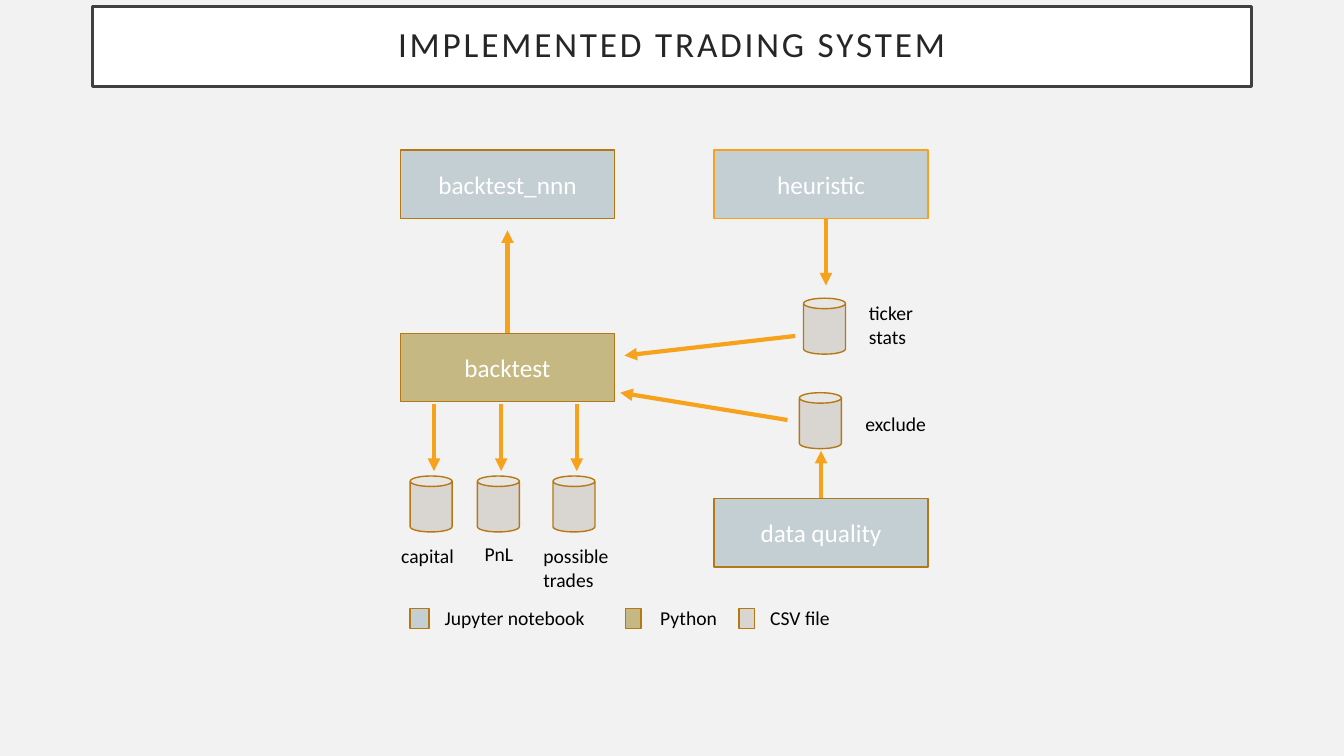
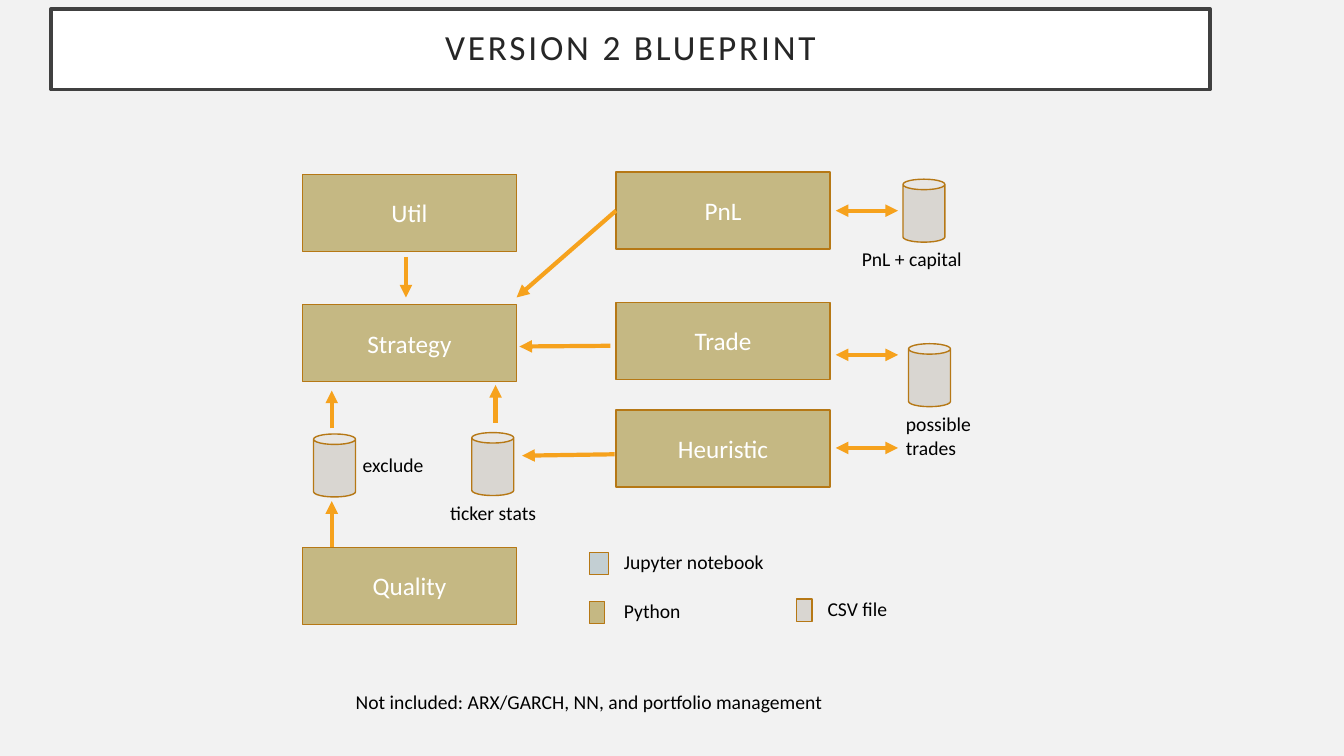
"""Build two slides that chart a trading system and its planned second version."""
from dataclasses import dataclass
from typing import Any

from lxml import etree
from pptx import Presentation
from pptx.dml.color import RGBColor
from pptx.enum import shapes, text
from pptx.oxml.ns import qn
from pptx.util import Pt

FONT = "Calibri"
PAPER, WHITE, BLACK = "F2F2F2", "FFFFFF", "000000"
FRAME, TITLE_TEXT = "404040", "262626"
NOTEBOOK, PYTHON, CSV = "C3CFD3", "C5B883", "D9D6D1"
OUTLINE, ORANGE = "B67815", "F6A21D"
BOX_WIDTH, CAN_WIDTH = 153, 30
TOP, LEFT = 0, 1
LEGEND = [("Jupyter notebook", NOTEBOOK, 13.5, 17.5),
          ("Python", PYTHON, 11, 17.5),
          ("CSV file", CSV, 11, 15)]


def color(value):
    """Turn a hex string into a colour."""
    return RGBColor.from_string(value)


def style_text(frame, content, size, ink, align):
    """Fill a text frame and set the font of its paragraphs."""
    frame.word_wrap = True
    frame.text = content
    for paragraph in frame.paragraphs:
        paragraph.alignment = align
        paragraph.font.name = FONT
        paragraph.font.size = Pt(size)
        paragraph.font.color.rgb = color(ink)


def add_filled(slide, preset, left, top, width, height, fill, line=OUTLINE, weight=1):
    """Add a flat preset shape."""
    shape = slide.shapes.add_shape(preset, Pt(left), Pt(top), Pt(width), Pt(height))
    shape.shadow.inherit = False
    shape.fill.solid()
    shape.fill.fore_color.rgb = color(fill)
    shape.line.color.rgb = color(line)
    shape.line.width = Pt(weight)
    return shape


def add_label(slide, content, left, top, width):
    """Add plain text, one paragraph for each line."""
    height = 7 + 17 * len(content.split("\n"))
    label = slide.shapes.add_textbox(Pt(left), Pt(top), Pt(width), Pt(height))
    style_text(label.text_frame, content, 14, BLACK, text.PP_ALIGN.LEFT)


def add_titled_slide(presentation, title, left, top):
    """Add a slide with its background and framed title."""
    slide = presentation.slides.add_slide(presentation.slide_layouts[6])
    slide.background.fill.solid()
    slide.background.fill.fore_color.rgb = color(PAPER)
    band = add_filled(slide, shapes.MSO_SHAPE.RECTANGLE, left, top, 828, 57.5,
                      WHITE, FRAME, 2.5)
    frame = band.text_frame
    style_text(frame, title, 25.2, TITLE_TEXT, text.PP_ALIGN.CENTER)
    frame.vertical_anchor = text.MSO_ANCHOR.MIDDLE
    frame.margin_left = frame.margin_right = Pt(14.4)
    frame.margin_top = frame.margin_bottom = Pt(14.4)
    paragraph = frame.paragraphs[0]
    paragraph.line_spacing = 0.9
    paragraph.runs[0].font._element.set("spc", "200")
    return slide


@dataclass
class Diagram:
    """A region of boxes, files and arrows placed from its top left corner."""
    slide: Any
    left: float
    top: float
    box_height: float
    can_height: float
    swatch_height: float

    def box(self, name, x, y, fill=PYTHON, line=OUTLINE):
        """Add a named module."""
        shape = add_filled(self.slide, shapes.MSO_SHAPE.RECTANGLE, self.left + x,
                           self.top + y, BOX_WIDTH, self.box_height, fill, line)
        style_text(shape.text_frame, name, 18, WHITE, text.PP_ALIGN.CENTER)
        shape.text_frame.vertical_anchor = text.MSO_ANCHOR.MIDDLE
        return shape

    def can(self, x, y):
        """Add a data file."""
        add_filled(self.slide, shapes.MSO_SHAPE.CAN, self.left + x, self.top + y,
                   CAN_WIDTH, self.can_height, CSV)

    def label(self, content, x, y, width=68):
        """Add a caption."""
        add_label(self.slide, content, self.left + x, self.top + y, width)

    def arrow(self, x1, y1, x2, y2, both=False, source=None, site=TOP):
        """Add an arrow, joined to a source box if one is given."""
        line = self.slide.shapes.add_connector(
            shapes.MSO_CONNECTOR.STRAIGHT, Pt(self.left + x1), Pt(self.top + y1),
            Pt(self.left + x2), Pt(self.top + y2))
        line.line.color.rgb = color(ORANGE)
        line.line.width = Pt(3)
        outline = line.line._get_or_add_ln()
        for end in ["headEnd", "tailEnd"] if both else ["tailEnd"]:
            etree.SubElement(outline, qn(f"a:{end}"), type="triangle")
        etree.SubElement(line._element.spPr, qn("a:effectLst"))
        if source is not None:
            line.begin_connect(source, site)

    def legend(self, places):
        """Add the colour key, one swatch at each place."""
        for (name, fill, width, gap), (x, y) in zip(LEGEND, places):
            add_filled(self.slide, shapes.MSO_SHAPE.RECTANGLE, self.left + x,
                       self.top + y, width, self.swatch_height, fill)
            self.label(name, x + gap, y - 5, 120)


def draw_implemented(slide, left, top):
    """Draw the system as implemented."""
    diagram = Diagram(slide, left, top, 49, 40, 14.5)
    diagram.box("backtest_nnn", 0, 0, NOTEBOOK)
    diagram.box("heuristic", 224, 0, NOTEBOOK, ORANGE)
    backtest = diagram.box("backtest", 0, 131)
    quality = diagram.box("data quality", 224, 249, NOTEBOOK)
    for x, name, label_x, label_y in [(7, "capital", -6.5, 278),
                                      (55, "PnL", 53, 276.5),
                                      (109, "possible\ntrades", 95, 278)]:
        diagram.can(x, 233)
        diagram.arrow(x + 17, 181.5, x + 17, 229.5)
        diagram.label(name, label_x, label_y)
    for x, y, name, label_x, label_y in [(288, 106, "ticker\nstats", 327.5, 104.5),
                                         (285, 173.5, "exclude", 325, 183.5)]:
        diagram.can(x, y)
        diagram.label(name, label_x, label_y)
    diagram.arrow(304, 49, 304, 97)
    diagram.arrow(282, 133, 160, 147)
    diagram.arrow(276.5, 193, 157, 173.5)
    diagram.arrow(300.5, 249, 300.5, 215, source=quality)
    diagram.arrow(76.5, 131, 76.5, 57.5, source=backtest)
    diagram.legend([(7, 327.5), (161, 327.5), (242, 327.5)])


def draw_blueprint(slide, left, top):
    """Draw the planned second version."""
    diagram = Diagram(slide, left, top, 55, 45, 16)
    for name, x, y in [("Util", 0, 1.5), ("Strategy", 0, 94.5), ("Quality", 0, 268),
                       ("Trade", 224, 93), ("Heuristic", 224, 170)]:
        diagram.box(name, x, y)
    profit = diagram.box("PnL", 224, 0)
    for x, y, name, label_x, label_y, width in [
            (429, 5, "PnL + capital", 392.5, 49.5, 91),
            (433, 122.5, "possible\ntrades", 424, 168, 68),
            (8, 187, "exclude", 36, 197, 68),
            (121, 186, "ticker stats", 98.5, 231, 80)]:
        diagram.can(x, y)
        diagram.label(name, label_x, label_y, width)
    for y in (27.5, 130.5, 197):
        diagram.arrow(425.5, y, 381, y, both=True)
    for ends in [(223, 201.5, 157, 202.5), (220, 124, 155, 124.5),
                 (21, 268, 21, 235), (21, 183, 21, 156),
                 (138, 179, 138, 152), (74, 60.5, 74, 89.5)]:
        diagram.arrow(*ends)
    diagram.arrow(224, 27.5, 153, 89.5, source=profit, site=LEFT)
    diagram.legend([(205, 271.5), (205, 306.5), (353, 305)])


def main():
    """Build and save the presentation."""
    presentation = Presentation()
    presentation.slide_width, presentation.slide_height = Pt(960), Pt(540)
    implemented = add_titled_slide(presentation, "IMPLEMENTED TRADING SYSTEM", 66, 4.5)
    draw_implemented(implemented, 286, 107)
    blueprint = add_titled_slide(presentation, "VERSION 2 BLUEPRINT", 36.5, 6.5)
    draw_blueprint(blueprint, 216, 123)
    add_label(blueprint, "Not included: ARX/GARCH, NN, and portfolio management",
              247, 489, 370)
    presentation.save("out.pptx")


if __name__ == "__main__":
    main()
